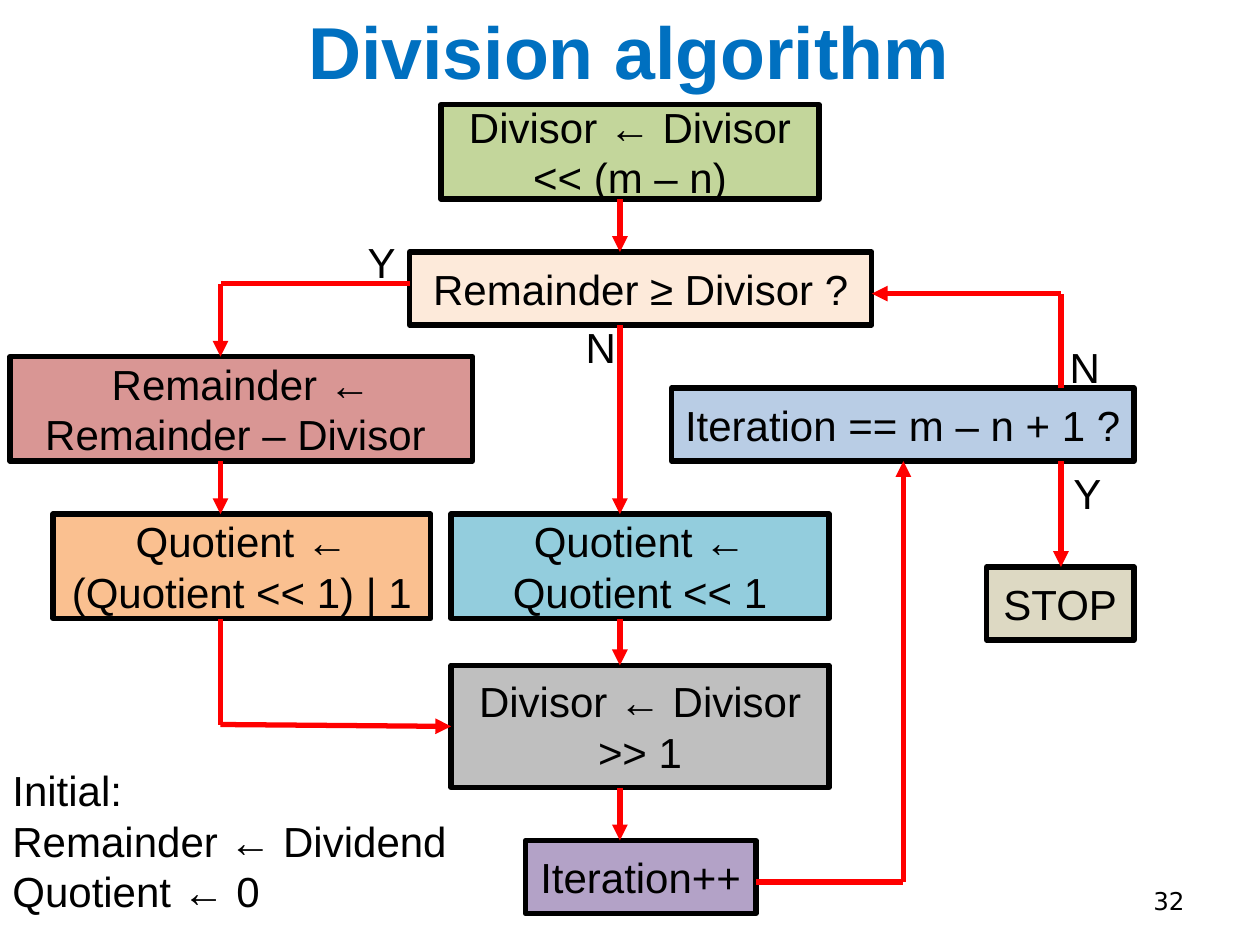
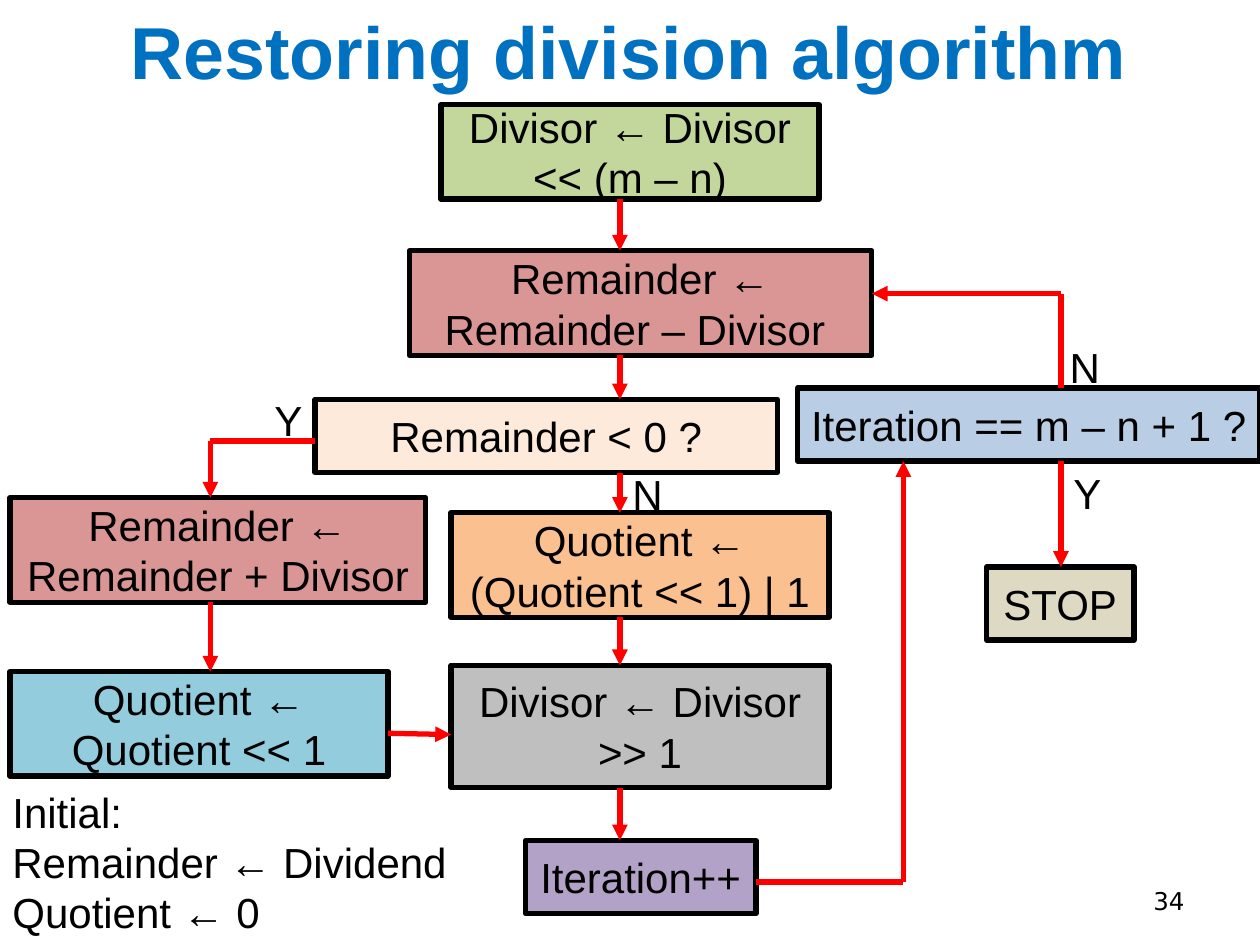
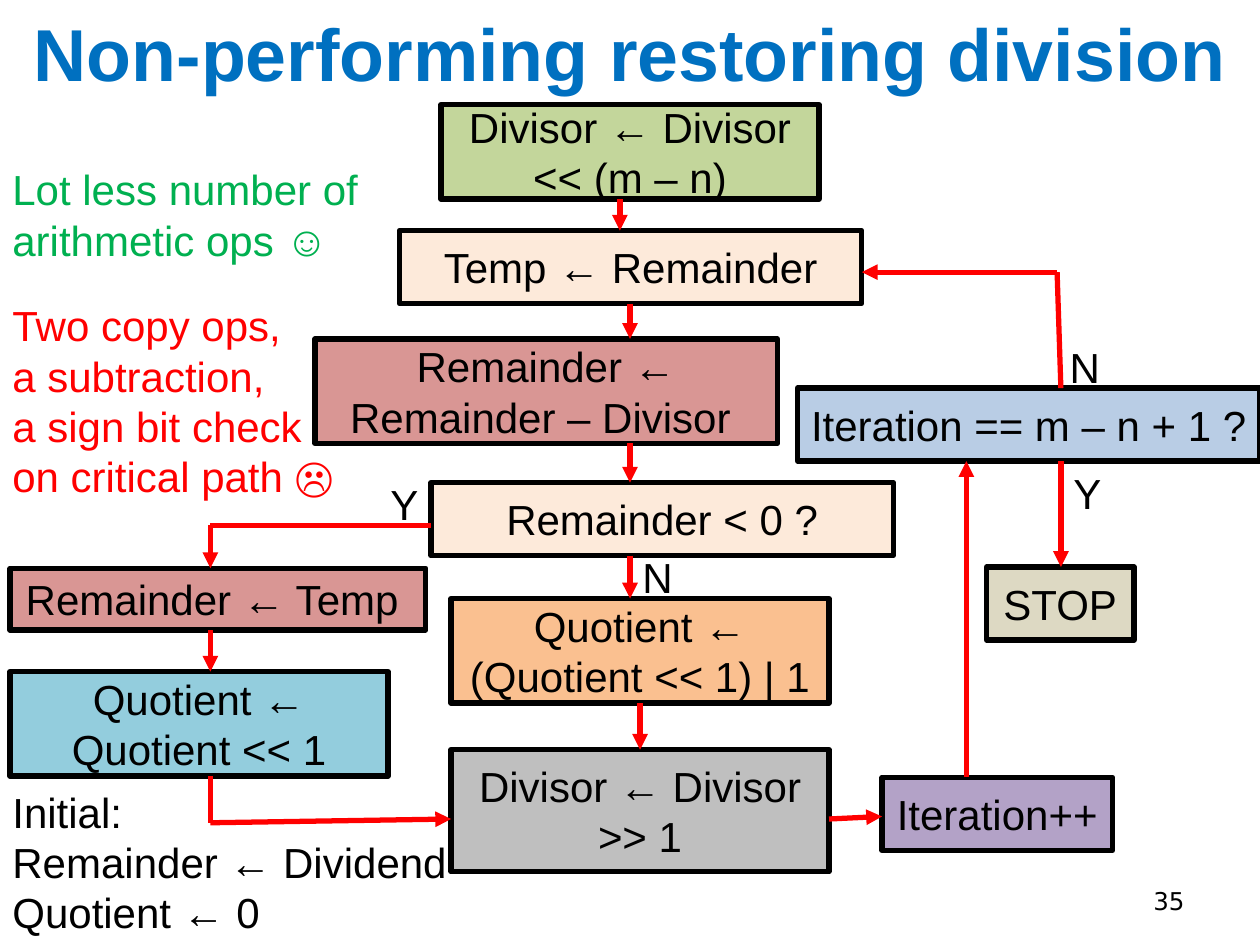
from dataclasses import dataclass
from itertools import pairwise

from lxml.etree import SubElement
from pptx import Presentation
from pptx.dml.color import RGBColor
from pptx.enum.shapes import MSO_CONNECTOR, MSO_SHAPE
from pptx.enum.text import MSO_ANCHOR, MSO_AUTO_SIZE, PP_ALIGN
from pptx.oxml.ns import qn
from pptx.util import Inches, Pt

COLORS = {
    "title": "0070C0", "text": "000000", "outline": "000000", "arrow": "FF0000",
    "benefit": "00B050", "cost": "FF0000",
    "green": "C3D69B", "aqua": "93CDDD", "rose": "D99694", "orange": "FAC090",
    "violet": "B3A2C7", "blue": "B9CDE5", "sand": "DDD9C3", "gray": "BFBFBF",
    "peach": "FDEADA",
}

# Each step: wording, fill, width, height
STEPS = {
    "align": ("Divisor ← Divisor << (m – n)", "green", 3, 0.75),
    "append_zero": ("Quotient ← Quotient << 1", "aqua", 3, 0.83),
    "append_one": ("Quotient ← (Quotient << 1) | 1", "orange", 3, 0.83),
    "subtract": ("Remainder ← Remainder – Divisor ", "rose", 3.67, 0.83),
    "add_back": ("Remainder ← Remainder + Divisor ", "rose", 3.3, 0.83),
    "copy_back": ("Remainder ← Temp ", "rose", 3.3, 0.49),
    "save": ("Temp ← Remainder", "peach", 3.67, 0.58),
    "compare": ("Remainder ≥ Divisor ?", "peach", 3.67, 0.58),
    "sign_test": ("Remainder < 0 ?", "peach", 3.67, 0.58),
    "halve": ("Divisor ← Divisor >> 1", "gray", 3, 0.97),
    "count": ("Iteration++", "violet", 1.83, 0.58),
    "last_test": ("Iteration == m – n + 1 ?", "blue", 3.67, 0.58),
    "stop": ("STOP", "sand", 1.17, 0.58),
}
LABEL_WIDTHS = {"Y": 0.43, "N": 0.45}
EXIT_X = 8.42


@dataclass
class Box:
    left: float
    top: float
    width: float
    height: float

    @property
    def right(self):
        return self.left + self.width

    @property
    def bottom(self):
        return self.top + self.height

    @property
    def middle(self):
        return self.top + self.height / 2

    def lengths(self):
        return [Inches(n) for n in (self.left, self.top, self.width, self.height)]


def color(name):
    return RGBColor.from_string(COLORS[name])


def write(shape, lines, size=24, ink="text", align=PP_ALIGN.LEFT, font="Arial", bold=False):
    frame = shape.text_frame
    for index, line in enumerate(lines):
        paragraph = frame.add_paragraph() if index else frame.paragraphs[0]
        paragraph.alignment = align
        run = paragraph.add_run()
        run.text = line
        run.font.name = font
        run.font.size = Pt(size)
        run.font.bold = bold
        run.font.color.rgb = color(ink)


def add_middle_text(slide, box, text, **style):
    shape = slide.shapes.add_textbox(*box.lengths())
    shape.text_frame.word_wrap = True
    shape.text_frame.vertical_anchor = MSO_ANCHOR.MIDDLE
    write(shape, [text], **style)


def add_note(slide, box, lines, ink="text"):
    shape = slide.shapes.add_textbox(*box.lengths())
    shape.text_frame.word_wrap = False
    shape.text_frame.auto_size = MSO_AUTO_SIZE.SHAPE_TO_FIT_TEXT
    write(shape, lines, ink=ink)


def add_label(slide, letter, left, top):
    add_note(slide, Box(left, top, LABEL_WIDTHS[letter], 0.5), [letter])


def add_step(slide, name, left, top):
    text, fill, width, height = STEPS[name]
    box = Box(left, top, width, height)
    shape = slide.shapes.add_shape(MSO_SHAPE.RECTANGLE, *box.lengths())
    shape.shadow.inherit = False
    shape.fill.solid()
    shape.fill.fore_color.rgb = color(fill)
    shape.line.color.rgb = color("outline")
    shape.line.width = Pt(3)
    shape.text_frame.word_wrap = True
    shape.text_frame.vertical_anchor = MSO_ANCHOR.MIDDLE
    write(shape, [text], align=PP_ALIGN.CENTER)
    return box


def add_path(slide, *points):
    """Join the points with straight lines; the last one carries the arrowhead."""
    for start, end in pairwise(points):
        line = slide.shapes.add_connector(
            MSO_CONNECTOR.STRAIGHT, *[Inches(n) for n in (*start, *end)])
        line.line.color.rgb = color("arrow")
        line.line.width = Pt(3)
        SubElement(line._element.spPr, qn("a:effectLst"))
    SubElement(line.line._get_or_add_ln(), qn("a:tailEnd"), type="triangle")


def add_drop(slide, x, upper, lower):
    add_path(slide, (x, upper.bottom), (x, lower.top))


def add_branch(slide, test, target, x, y):
    """Lead from the left side of a test down onto the target."""
    add_path(slide, (test.left, y), (x, y), (x, target.top))


def add_frame(slide, title, number, title_box, initial_top):
    """Title, page number, starting values and the first step."""
    add_middle_text(slide, Box(7.17, 6.95, 2.33, 0.4), str(number), size=14,
                    align=PP_ALIGN.RIGHT, font="DejaVu Sans")
    add_middle_text(slide, title_box, title, size=42, ink="title",
                    align=PP_ALIGN.CENTER, bold=True)
    add_note(slide, Box(0, initial_top, 3.68, 1.31),
             ["Initial:", "Remainder ← Dividend", "Quotient ← 0"])
    return add_step(slide, "align", 3.5, 0.83)


def add_exit(slide, left, loop_target, bend):
    """Last-iteration test with its way back to the loop and its way out."""
    test = add_step(slide, "last_test", left, 3.08)
    stop = add_step(slide, "stop", 7.83, 4.5)
    add_path(slide, (EXIT_X, test.top), bend, (loop_target.right, bend[1]))
    add_drop(slide, EXIT_X, test, stop)
    add_label(slide, "N", EXIT_X - 0.03, test.top - 0.42)
    add_label(slide, "Y", EXIT_X, test.bottom)
    return test


def add_loop_end(slide, x, append, last_test):
    """Halving and counting below the middle column, then back up to the test."""
    halve = add_step(slide, "halve", 3.58, 5.28)
    count = add_step(slide, "count", 4.17, 6.67)
    add_drop(slide, x, append, halve)
    add_drop(slide, x, halve, count)
    add_path(slide, (count.right, 7), (7.17, 7), (7.17, last_test.bottom))
    return halve


def build_division(slide, title_box):
    x, side_x = 4.92, 1.75
    align = add_frame(slide, "Division algorithm", 32, title_box, 6.02)
    compare = add_step(slide, "compare", 3.25, 2)
    subtract = add_step(slide, "subtract", 0.08, 2.83)
    append_one = add_step(slide, "append_one", 0.42, 4.08)
    append_zero = add_step(slide, "append_zero", 3.58, 4.08)
    last_test = add_exit(slide, 5.33, compare, (EXIT_X, 2.33))
    halve = add_loop_end(slide, x, append_zero, last_test)
    add_drop(slide, x, align, compare)
    add_drop(slide, x, compare, append_zero)
    add_branch(slide, compare, subtract, side_x, 2.25)
    add_drop(slide, side_x, subtract, append_one)
    add_path(slide, (side_x, append_one.bottom), (side_x, 5.75), (halve.left, halve.middle))
    add_label(slide, "Y", 2.82, 1.83)
    add_label(slide, "N", 4.55, 2.5)


def build_restoring(slide, title_box):
    x, side_x = 4.92, 1.67
    align = add_frame(slide, "Restoring division algorithm", 34, title_box, 6.19)
    subtract = add_step(slide, "subtract", 3.25, 1.99)
    sign_test = add_step(slide, "sign_test", 2.5, 3.17)
    add_back = add_step(slide, "add_back", 0.08, 3.95)
    append_one = add_step(slide, "append_one", 3.58, 4.07)
    append_zero = add_step(slide, "append_zero", 0.08, 5.33)
    last_test = add_exit(slide, 6.33, subtract, (EXIT_X, 2.33))
    halve = add_loop_end(slide, x, append_one, last_test)
    for upper, lower in pairwise([align, subtract, sign_test, append_one]):
        add_drop(slide, x, upper, lower)
    add_branch(slide, sign_test, add_back, side_x, 3.5)
    add_drop(slide, side_x, add_back, append_zero)
    add_path(slide, (append_zero.right, 5.82), (halve.left, 5.83))
    add_label(slide, "Y", 2.08, 3.08)
    add_label(slide, "N", 4.92, 3.67)


def build_non_performing(slide, title_box):
    x, side_x, count_x = 5, 1.67, 7.67
    align = add_frame(slide, "Non-performing restoring division", 35, title_box, 6.19)
    save = add_step(slide, "save", 3.17, 1.83)
    subtract = add_step(slide, "subtract", 2.5, 2.69)
    sign_test = add_step(slide, "sign_test", 3.42, 3.83)
    copy_back = add_step(slide, "copy_back", 0.08, 4.51)
    append_one = add_step(slide, "append_one", 3.58, 4.75)
    append_zero = add_step(slide, "append_zero", 0.08, 5.33)
    halve = add_step(slide, "halve", 3.58, 5.95)
    count = add_step(slide, "count", 7, 6.17)
    last_test = add_exit(slide, 6.33, save, (8.39, 2.16))
    add_drop(slide, 4.92, align, save)
    for upper, lower in pairwise([save, subtract, sign_test, append_one]):
        add_drop(slide, x, upper, lower)
    add_drop(slide, 5.08, append_one, halve)
    add_branch(slide, sign_test, copy_back, side_x, 4.17)
    add_drop(slide, side_x, copy_back, append_zero)
    add_path(slide, (side_x, append_zero.bottom), (side_x, 6.53), (halve.left, 6.5))
    add_path(slide, (halve.right, 6.5), (count.left, 6.48))
    add_path(slide, (count_x, count.top), (count_x, last_test.bottom))
    add_label(slide, "Y", 3, 3.75)
    add_label(slide, "N", 5, 4.33)
    add_note(slide, Box(0, 1.25, 3.01, 0.91),
             ["Lot less number of", "arithmetic ops ☺"], "benefit")
    add_note(slide, Box(0, 2.33, 2.84, 1.72),
             ["Two copy ops,", "a subtraction,", "a sign bit check", "on critical path ☹"], "cost")


def main():
    presentation = Presentation()
    presentation.slide_width = Inches(10)
    presentation.slide_height = Inches(7.5)
    title_box = Box(0.48, 0, 9.02, 0.8)
    wide_title_box = Box(0, 0, 10, 0.82)
    for build, box in ((build_division, title_box), (build_restoring, title_box),
                       (build_non_performing, wide_title_box)):
        build(presentation.slides.add_slide(presentation.slide_layouts[6]), box)
    presentation.save("out.pptx")


if __name__ == "__main__":
    main()
